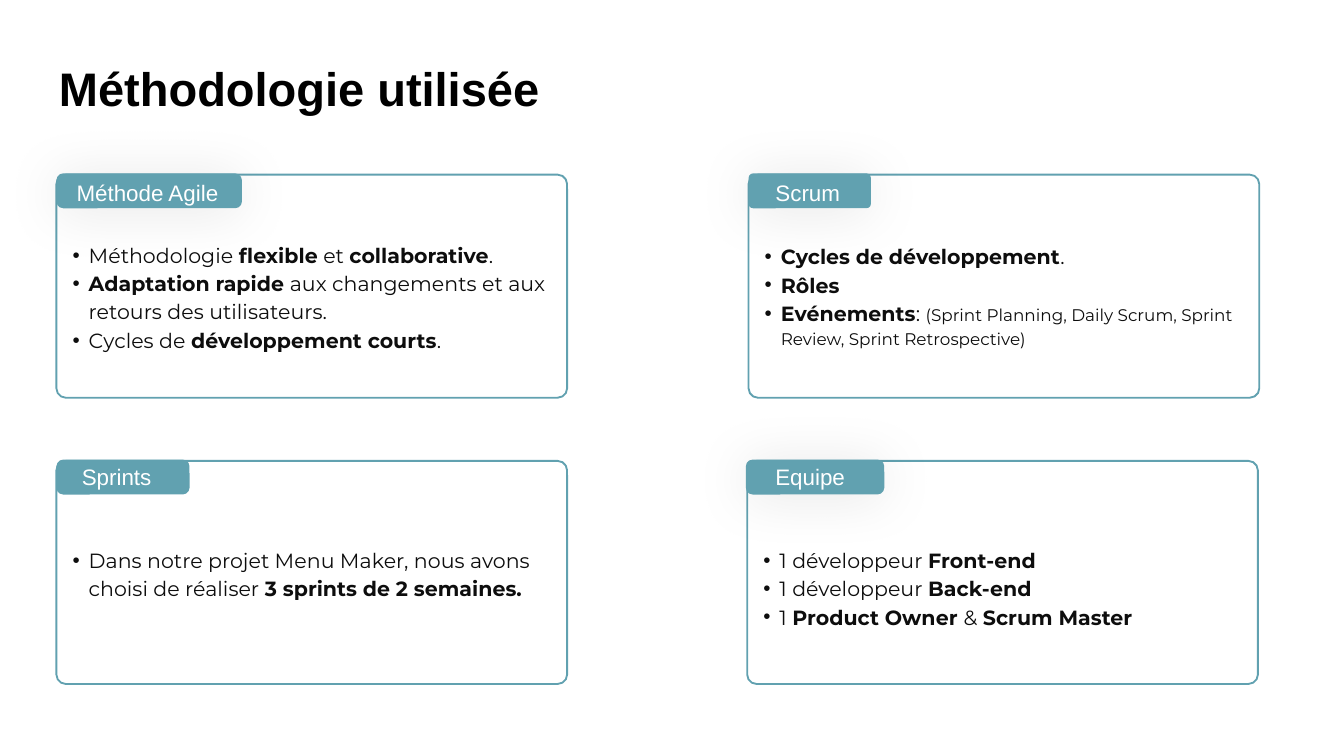
import pptx
import pptx.dml.color
import pptx.enum.shapes
import pptx.oxml
import pptx.oxml.ns
import pptx.util
from pptx.util import Inches, Pt

TEAL, INK, WHITE, BLACK = "61A1B0", "0D0D0D", "FFFFFF", "000000"
BODY = {"name": "Montserrat", "size": Pt(11), "bold": False}
STRONG = {**BODY, "bold": True}
SMALL = {**BODY, "size": Pt(9)}
LABEL = {"name": "Arial", "size": Pt(12), "bold": False}
TITLE = {"name": "Arial", "size": Pt(25.2), "bold": True}

SLIDE_W = 10
SLIDE_H = SLIDE_W * 9 / 16
CARD_W, CARD_H, TAB_H = 3.8, 1.66, 0.26
BULLETS_W, BULLETS_DX, TAB_RISE = 3.57, 0.12, 0.01

# Content: frame = (left, top), tab = (left, width, corner),
# label_box = (left, top, width, height, inset), bullets_box = (top, height)
TITLE_TEXT = "Méthodologie utilisée"
CARDS = [
    {"label": "Méthode Agile", "frame": (0.42, 1.3), "tab": (0.42, 1.38, 0.194),
     "label_box": (0.57, 1.33, 1.07, 0.2, 0), "bullets_box": (1.78, 0.87),
     "tab_shadow": True,
     "bullets": [
         [("Méthodologie ", BODY), ("flexible", STRONG), (" et ", BODY),
          ("collaborative", STRONG), (".", BODY)],
         [("Adaptation rapide", STRONG),
          (" aux changements et aux retours des utilisateurs.", BODY)],
         [("Cycles de ", BODY), ("développement courts", STRONG), (".", BODY)]]},
    {"label": "Scrum", "frame": (5.57, 1.3), "tab": (5.57, 0.91, 0.129),
     "label_box": (5.77, 1.33, 0.5, 0.19, 0), "bullets_box": (1.79, 0.82),
     "tab_shadow": True,
     "bullets": [
         [("Cycles de développement", STRONG), (".", BODY)],
         [("Rôles", STRONG)],
         [("Evénements", STRONG), (": ", BODY),
          ("(Sprint Planning, Daily Scrum, Sprint Review, Sprint Retrospective)",
           SMALL)]]},
    {"label": "Sprints", "frame": (0.42, 3.43), "tab": (0.42, 0.99, 0.194),
     "label_box": (0.51, 3.35, 3.28, 0.4, 0.1), "bullets_box": (4.05, 0.42),
     "tab_shadow": False,
     "bullets": [
         [("Dans notre projet Menu Maker, nous avons choisi de réaliser ", BODY),
          ("3 sprints de 2 semaines.", STRONG)]]},
    {"label": "Equipe", "frame": (5.56, 3.43), "tab": (5.55, 1.03, 0.194),
     "label_box": (5.67, 3.35, 3.28, 0.4, 0.1), "bullets_box": (4.05, 0.61),
     "tab_shadow": True,
     "bullets": [
         [("1 développeur ", BODY), ("Front-end", STRONG)],
         [("1 développeur ", BODY), ("Back-end", STRONG)],
         [("1 ", BODY), ("Product Owner ", STRONG), ("& ", BODY),
          ("Scrum Master", STRONG)]]},
]


def rgb(value):
    return pptx.dml.color.RGBColor.from_string(value)


def xml(markup):
    return pptx.oxml.parse_xml(
        markup.replace(">", f" {pptx.oxml.ns.nsdecls('a')}>", 1))


def add_rounded(slide, left, top, width, height, corner):
    rounded = slide.shapes.add_shape(
        pptx.enum.shapes.MSO_SHAPE.ROUNDED_RECTANGLE,
        Inches(left), Inches(top), Inches(width), Inches(height))
    rounded.adjustments[0] = corner
    rounded.shadow.inherit = False
    return rounded


def add_soft_shadow(shape):
    effects = shape._element.spPr.find(pptx.oxml.ns.qn("a:effectLst"))
    effects.append(xml(
        f'<a:outerShdw blurRad="{Pt(30)}" dist="{Pt(1.8)}" dir="5400000" '
        f'algn="t" rotWithShape="0"><a:srgbClr val="{BLACK}">'
        '<a:alpha val="10000"/></a:srgbClr></a:outerShdw>'))


def make_bullet(paragraph):
    paragraph.line_spacing = 1.15
    properties = paragraph._p.get_or_add_pPr()
    properties.set("marL", str(Inches(0.12)))
    properties.set("indent", str(Inches(-0.12)))
    for markup in (f'<a:buClr><a:srgbClr val="{INK}"/></a:buClr>',
                   '<a:buFont typeface="Arial"></a:buFont>',
                   '<a:buChar char="•"></a:buChar>'):
        properties.append(xml(markup))


def add_text(slide, left, top, width, height, inset, lines, color, bulleted=False):
    frame = slide.shapes.add_textbox(
        Inches(left), Inches(top), Inches(width), Inches(height)).text_frame
    frame.word_wrap = True
    for side in ("left", "top", "right", "bottom"):
        setattr(frame, f"margin_{side}", Inches(inset))
    for index, pieces in enumerate(lines):
        paragraph = frame.add_paragraph() if index else frame.paragraphs[0]
        if bulleted:
            make_bullet(paragraph)
        for text, style in pieces:
            run = paragraph.add_run()
            run.text = text
            run.font.color.rgb = rgb(color)
            for attribute, value in style.items():
                setattr(run.font, attribute, value)


def add_card(slide, card):
    # Outline
    left, top = card["frame"]
    outline = add_rounded(slide, left, top, CARD_W, CARD_H, 0.042)
    outline.fill.background()
    outline.line.color.rgb = rgb(TEAL)
    outline.line.width = Pt(1)

    # Label on its tab
    tab_left, tab_width, corner = card["tab"]
    tab = add_rounded(slide, tab_left, top - TAB_RISE, tab_width, TAB_H, corner)
    tab.fill.solid()
    tab.fill.fore_color.rgb = rgb(TEAL)
    tab.line.fill.background()
    if card["tab_shadow"]:
        add_soft_shadow(tab)
    add_text(slide, *card["label_box"], [[(card["label"], LABEL)]], WHITE)

    # Bullet list
    bullets_top, bullets_height = card["bullets_box"]
    add_text(slide, left + BULLETS_DX, bullets_top, BULLETS_W, bullets_height, 0,
             card["bullets"], INK, bulleted=True)


def main():
    deck = pptx.Presentation()
    deck.slide_width, deck.slide_height = Inches(SLIDE_W), Inches(SLIDE_H)
    slide = deck.slides.add_slide(deck.slide_layouts[6])
    add_text(slide, 0.34, 0.34, 9.32, 0.63, 0.1, [[(TITLE_TEXT, TITLE)]], BLACK)
    for card in CARDS:
        add_card(slide, card)
    deck.save("out.pptx")


if __name__ == "__main__":
    main()
